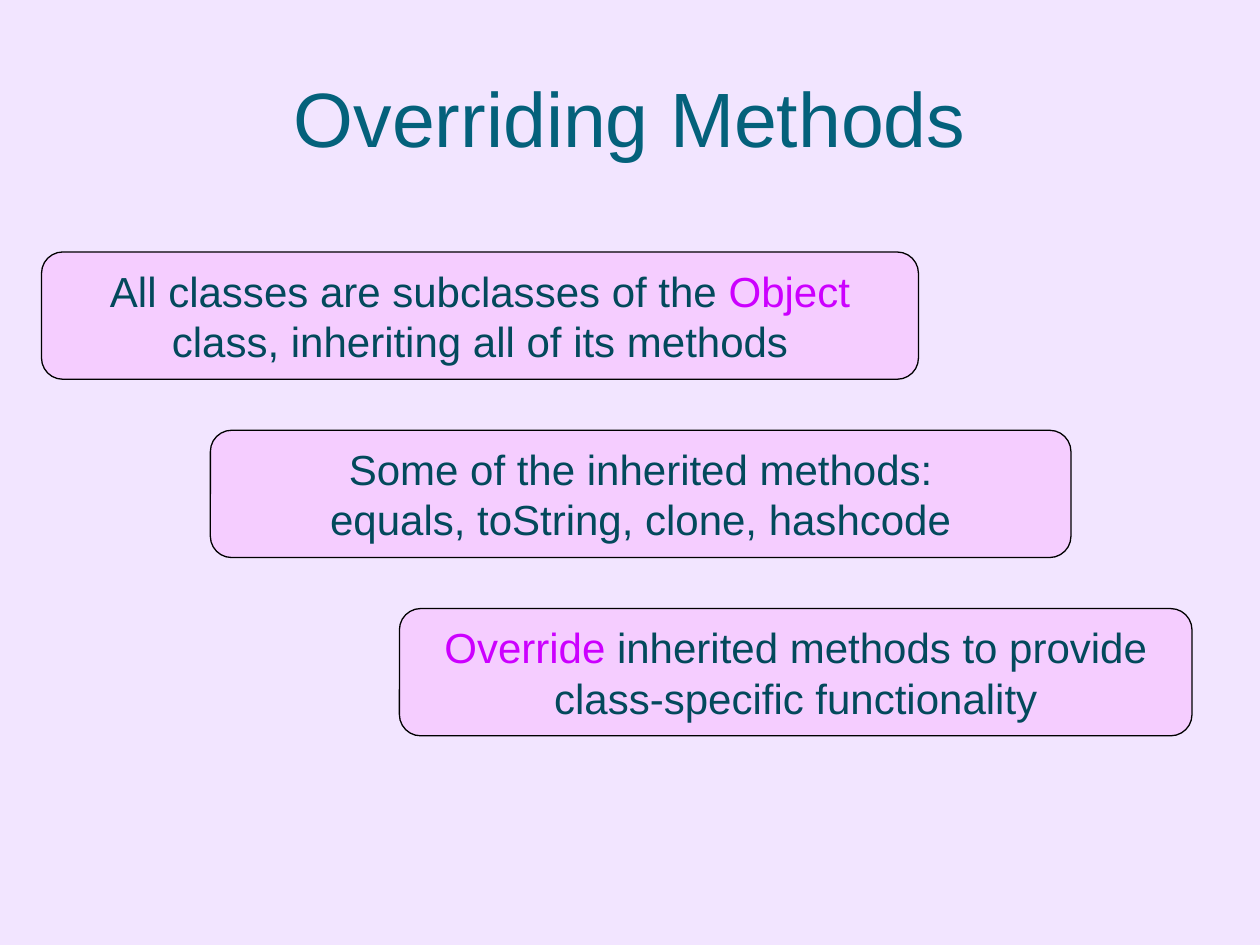
import pptx
import pptx.dml.color
import pptx.enum.shapes
import pptx.enum.text
import pptx.util
from dataclasses import dataclass

Inches = pptx.util.Inches


@dataclass(frozen=True)
class Theme:
    background: str = "F2E5FF"
    title: str = "04617B"
    body: str = "03495C"
    accent: str = "CC00FF"
    card: str = "F5CDFF"
    outline: str = "000000"
    font: str = "Arial"
    title_size: int = 44
    body_size: int = 24


THEME = Theme()
CARD_TOP, CARD_STEP, CARD_HEIGHT = 2, 1.415, 1.01

# Each card: left, width, paragraphs of (text, colour) spans
CARDS = [
    (0.33, 6.96, [[("All classes are subclasses of the ", THEME.body),
                   ("Object ", THEME.accent),
                   ("class, inheriting all of its methods", THEME.body)]]),
    (1.67, 6.83, [[("Some of the inherited methods:", THEME.body)],
                  [("equals, toString, clone, hashcode", THEME.body)]]),
    (3.17, 6.29, [[("Override ", THEME.accent),
                   ("inherited methods to provide class-specific functionality",
                    THEME.body)]]),
]


def rgb(colour):
    return pptx.dml.color.RGBColor.from_string(colour)


def apply(target, values):
    for name, value in values.items():
        setattr(target, name, value)


def paint(fill, colour):
    fill.solid()
    fill.fore_color.rgb = rgb(colour)


def write_paragraph(para, spans, size):
    para.alignment = pptx.enum.text.PP_ALIGN.CENTER
    for text, colour in spans:
        span = para.add_run()
        span.text = text
        apply(span.font, {"name": THEME.font, "size": pptx.util.Pt(size),
                          "bold": False})
        span.font.color.rgb = rgb(colour)


def write_title(page, text):
    title = page.shapes.title
    apply(title, {"left": Inches(0.5), "top": Inches(0.3),
                  "width": Inches(9), "height": Inches(1.25)})
    frame = title.text_frame
    frame.vertical_anchor = pptx.enum.text.MSO_ANCHOR.MIDDLE
    write_paragraph(frame.paragraphs[0], [(text, THEME.title)], THEME.title_size)


def add_card(page, left, top, width, paragraphs):
    box = page.shapes.add_shape(
        pptx.enum.shapes.MSO_SHAPE.ROUNDED_RECTANGLE,
        Inches(left), Inches(top), Inches(width), Inches(CARD_HEIGHT))
    box.shadow.inherit = False
    paint(box.fill, THEME.card)
    paint(box.line.fill, THEME.outline)
    box.line.width = pptx.util.Pt(0.75)
    frame = box.text_frame
    apply(frame, {"word_wrap": True,
                  "auto_size": pptx.enum.text.MSO_AUTO_SIZE.SHAPE_TO_FIT_TEXT,
                  "vertical_anchor": pptx.enum.text.MSO_ANCHOR.MIDDLE})
    for index, spans in enumerate(paragraphs):
        para = frame.add_paragraph() if index else frame.paragraphs[0]
        write_paragraph(para, spans, THEME.body_size)


def main():
    deck = pptx.Presentation()
    apply(deck, {"slide_width": Inches(10), "slide_height": Inches(7.5)})
    page = deck.slides.add_slide(deck.slide_layouts[5])  # title only
    paint(page.background.fill, THEME.background)

    # Title
    write_title(page, "Overriding Methods")

    # Cards stepping down the slide
    for row, (left, width, paragraphs) in enumerate(CARDS):
        add_card(page, left, CARD_TOP + row * CARD_STEP, width, paragraphs)

    deck.save("out.pptx")


if __name__ == "__main__":
    main()
